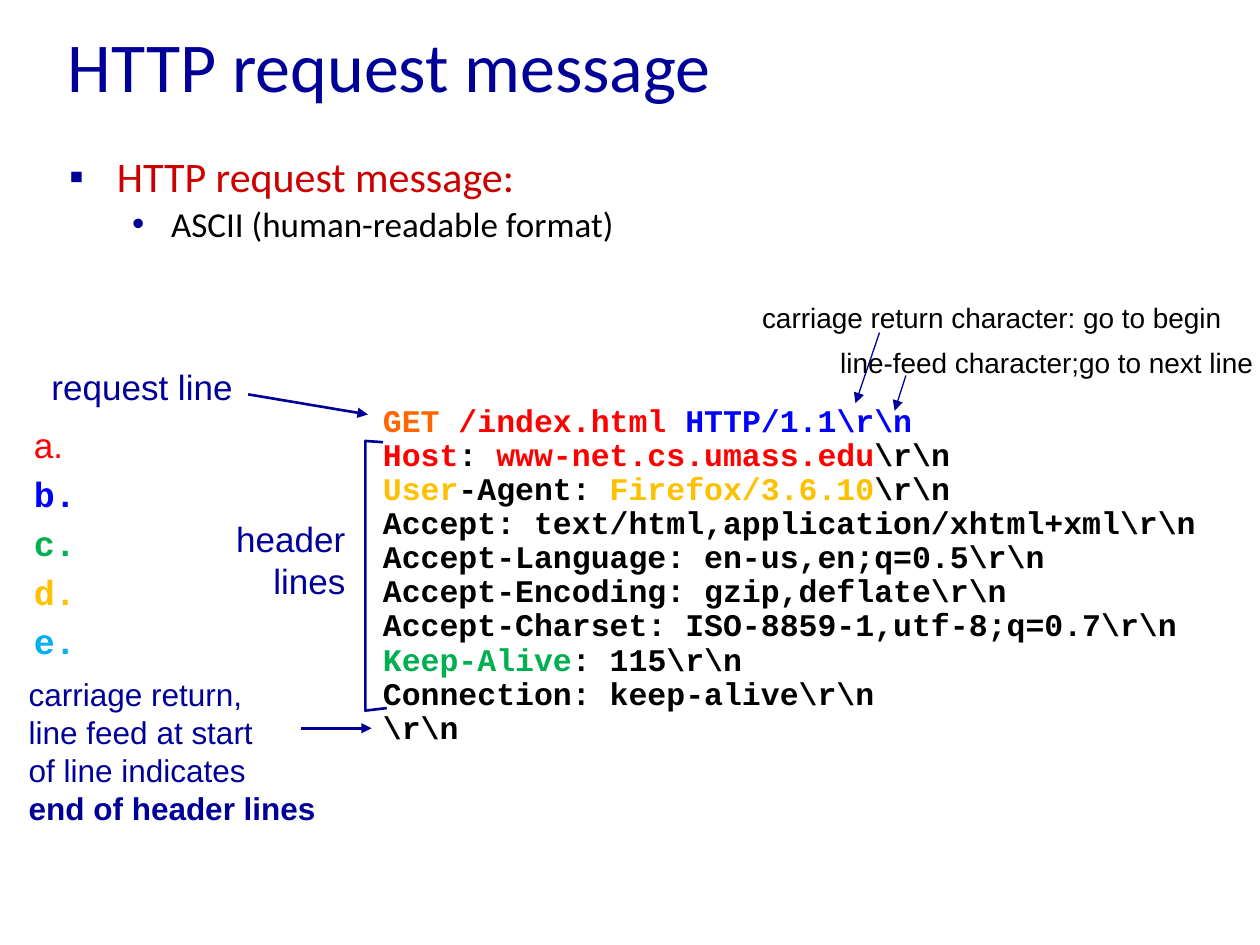
from lxml.etree import SubElement
from pptx import Presentation
from pptx.dml.color import RGBColor
from pptx.enum.shapes import MSO_CONNECTOR
from pptx.enum.text import MSO_ANCHOR, MSO_AUTO_SIZE, PP_ALIGN
from pptx.oxml.ns import qn
from pptx.util import Inches, Pt

WIDE, HIGH = Inches(10), Inches(7.5)
COLS, ROWS = 100, 75
NAVY = RGBColor(0x00, 0x00, 0x99)
BRICK = RGBColor(0xCC, 0x00, 0x00)
BLACK = RGBColor(0x00, 0x00, 0x00)
ORANGE = RGBColor(0xFF, 0x66, 0x00)
RED = RGBColor(0xFF, 0x00, 0x00)
BLUE = RGBColor(0x00, 0x00, 0xFF)
GOLD = RGBColor(0xFF, 0xC0, 0x00)
GREEN = RGBColor(0x00, 0xB0, 0x50)
SKY = RGBColor(0x00, 0xB0, 0xF0)
SANS, MONO, HEAD = "Arial", "Courier New", "Calibri"

CODE = [
    [("GET ", ORANGE), ("/index.html ", RED), (r"HTTP/1.1\r\n", BLUE)],
    [("Host", RED), (": ", BLACK), ("www-net.cs.umass.edu", RED), (r"\r\n", BLACK)],
    [("User", GOLD), ("-Agent: ", BLACK), ("Firefox/3.6.10", GOLD), (r"\r\n", BLACK)],
    [(r"Accept: text/html,application/xhtml+xml\r\n", BLACK)],
    [(r"Accept-Language: en-us,en;q=0.5\r\n", BLACK)],
    [(r"Accept-Encoding: gzip,deflate\r\n", BLACK)],
    [(r"Accept-Charset: ISO-8859-1,utf-8;q=0.7\r\n", BLACK)],
    [("Keep-Alive", GREEN), (r": 115\r\n", BLACK)],
    [(r"Connection: keep-alive\r\n", BLACK)],
    [(r"\r\n", BLACK)],
]
MARKS = [("a.", RED), ("b.", BLUE), ("c.", GREEN), ("d.", GOLD), ("e.", SKY)]


def across(col):
    return round(WIDE * col / COLS)


def down(row):
    return round(HIGH * row / ROWS)


def style(run, size, color, face=SANS, bold=False):
    font = run.font
    font.size, font.name, font.bold = Pt(size), face, bold
    font.color.rgb = color


def add_box(slide, col, row, cols, rows, wrap=False):
    """Add an empty text box and return its frame."""
    box = slide.shapes.add_textbox(across(col), down(row), across(cols), down(rows))
    frame = box.text_frame
    frame.word_wrap = wrap
    frame.auto_size = MSO_AUTO_SIZE.NONE if wrap else MSO_AUTO_SIZE.SHAPE_TO_FIT_TEXT
    return frame


def add_note(slide, place, text, size, color=NAVY, align=PP_ALIGN.LEFT):
    frame = add_box(slide, *place)
    frame.text = text
    for para in frame.paragraphs:
        para.alignment = align
        style(para.runs[0], size, color)
    return frame


def indent(para, left, hang):
    props = para._p.get_or_add_pPr()
    props.set("marL", str(Inches(left)))
    props.set("indent", str(-Inches(hang)))
    return props


def add_point(para, text, sign, left, hang, size, color):
    """Fill a paragraph as a bulleted line."""
    para.text = text
    props = indent(para, left, hang)
    tint = SubElement(props, qn("a:buClr"))
    SubElement(tint, qn("a:srgbClr"), val=str(NAVY))
    SubElement(props, qn("a:buFont"), typeface=SANS)
    SubElement(props, qn("a:buChar"), char=sign)
    para.line_spacing = 0.85
    style(para.runs[0], size, color, HEAD)


def add_title(slide):
    frame = add_box(slide, 4.4, 0.1, 85, 10, wrap=True)
    frame.vertical_anchor = MSO_ANCHOR.MIDDLE
    frame.text = "HTTP request message"
    style(frame.paragraphs[0].runs[0], 40, NAVY, HEAD)


def add_body(slide):
    frame = add_box(slide, 4.5, 12.1, 85, 50.8, wrap=True)
    add_point(frame.paragraphs[0], "HTTP request message:", "▪", 0.38, 0.38, 24, BRICK)
    para = frame.add_paragraph()
    para.level = 1
    add_point(para, "ASCII (human-readable format)", "•", 0.81, 0.31, 20, BLACK)
    para.space_before = Pt(4)


def add_code(slide):
    frame = add_box(slide, 29.4, 31.7, 67.2, 28.3)
    for num, line in enumerate(CODE):
        para = frame.add_paragraph() if num else frame.paragraphs[0]
        indent(para, 0.38, 0.38)
        para.line_spacing = 0.9
        for text, color in line:
            run = para.add_run()
            run.text = text
            style(run, 18, color, MONO, True)


def add_marks(slide):
    frame = add_box(slide, 1.7, 33.1, 5.4, 20.5)
    frame.text = "\n".join(text for text, _ in MARKS)
    for num, (para, (_, color)) in enumerate(zip(frame.paragraphs, MARKS)):
        style(para.runs[0], 20, color, MONO if num else SANS, num > 0)
        if num:
            para.space_before = Pt(4)


def add_arrow(slide, start, end, width):
    line = slide.shapes.add_connector(
        MSO_CONNECTOR.STRAIGHT,
        across(start[0]), down(start[1]), across(end[0]), down(end[1]))
    line.line.color.rgb = NAVY
    line.line.width = Pt(width)
    SubElement(line.line._get_or_add_ln(), qn("a:tailEnd"), type="triangle")
    SubElement(line._element.spPr, qn("a:effectLst"))


def add_brace(slide, first, *rest):
    """Draw an open outline through the given grid points."""
    pen = slide.shapes.build_freeform(across(first[0]), down(first[1]))
    pen.add_line_segments([(across(x), down(y)) for x, y in rest], close=False)
    shape = pen.convert_to_shape()
    shape.shadow.inherit = False
    shape.fill.background()
    shape.line.color.rgb = NAVY
    shape.line.width = Pt(1.5)


def main():
    deck = Presentation()
    deck.slide_width, deck.slide_height = WIDE, HIGH
    slide = deck.slides.add_slide(deck.slide_layouts[6])

    add_title(slide)
    add_body(slide)
    add_note(slide, (3.1, 28.5, 16.5, 4.4), "request line", 20)
    add_arrow(slide, (19.7, 31.3), (29.2, 32.9), 1.5)
    add_brace(slide, (30.4, 35.1), (29, 35), (29, 56.4), (30.7, 56.2))
    add_note(slide, (17.7, 40.6, 10.7, 7.7), "header\nlines", 20, align=PP_ALIGN.RIGHT)
    add_arrow(slide, (23.9, 57.8), (29.5, 57.8), 1.5)
    ending = add_note(
        slide, (1.3, 53.1, 25, 13.1),
        "carriage return,\nline feed at start\nof line indicates\nend of header lines", 18)
    ending.paragraphs[-1].runs[0].font.bold = True
    add_code(slide)
    add_arrow(slide, (69.8, 26.4), (67.9, 32), 0.75)
    add_note(slide, (59.5, 23.4, 39, 3.7),
             "carriage return character: go to begin", 16, BLACK)
    add_note(slide, (65.7, 26.9, 35.2, 3.7),
             "line-feed character;go to next line", 16, BLACK)
    add_arrow(slide, (71.9, 29.8), (71, 32.6), 0.75)
    add_marks(slide)

    deck.save("out.pptx")


if __name__ == "__main__":
    main()
